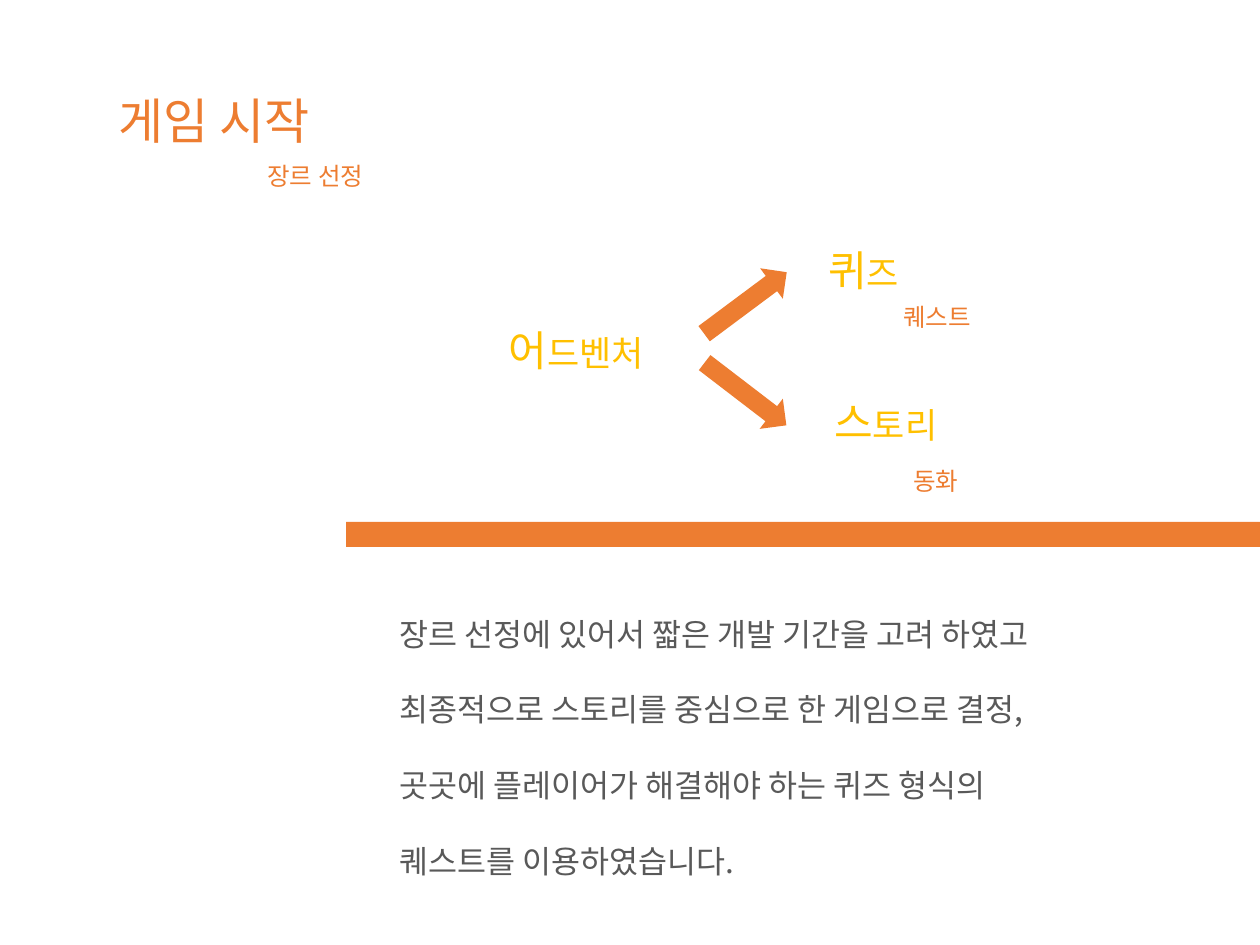
from dataclasses import dataclass

from lxml import etree
from pptx import Presentation
from pptx.dml.color import RGBColor
from pptx.enum.shapes import MSO_SHAPE
from pptx.enum.text import MSO_ANCHOR, MSO_AUTO_SIZE, PP_ALIGN
from pptx.oxml.ns import qn
from pptx.util import Emu, Pt

PX = 914400 // 126
FONT = "Noto Sans CJK KR"
ORANGE = RGBColor(0xED, 0x7D, 0x31)
GOLD = RGBColor(0xFF, 0xC0, 0x00)
GRAY = RGBColor(0x59, 0x59, 0x59)
LINE_RATIO = 1.25
BODY_PITCH = 43.2  # points from one body line to the next


@dataclass(frozen=True)
class Box:
    """A frame in pixels."""
    left: int
    top: int
    width: int
    height: int

    def emu(self) -> tuple[Emu, ...]:
        """Return the frame in EMU."""
        return tuple(Emu(v * PX) for v in (self.left, self.top, self.width, self.height))


@dataclass(frozen=True)
class Label:
    """Lines of text, with an optional larger first letter."""
    box: Box
    lines: tuple[str, ...]
    size: int
    color: RGBColor
    initial_size: int = 0


@dataclass(frozen=True)
class Block:
    """A solid preset shape."""
    box: Box
    kind: MSO_SHAPE
    rotation: float = 0


TITLE = Label(Box(106, 82, 239, 72), ("게임 시작",), 28, ORANGE)
LABELS = (
    Label(Box(255, 154, 132, 43), ("장르 선정",), 14, ORANGE),
    Label(Box(496, 316, 174, 63), ("어드벤처",), 20, GOLD, 24),
    Label(Box(816, 236, 103, 63), ("퀴즈",), 20, GOLD, 24),
    Label(Box(822, 388, 139, 63), ("스토리",), 20, GOLD, 24),
    Label(Box(387, 607, 736, 280), (
        "장르 선정에 있어서 짧은 개발 기간을 고려 하였고",
        "최종적으로 스토리를 중심으로 한 게임으로 결정,",
        "곳곳에 플레이어가 해결해야 하는 퀴즈 형식의",
        "퀘스트를 이용하였습니다.",
    ), 18, GRAY),
    Label(Box(891, 295, 100, 43), ("퀘스트",), 14, ORANGE),
    Label(Box(901, 459, 74, 43), ("동화",), 14, ORANGE),
)
BLOCKS = (
    Block(Box(346, 522, 914, 25), MSO_SHAPE.RECTANGLE),
    Block(Box(694, 284, 103, 38), MSO_SHAPE.RIGHT_ARROW, 323.3),
    Block(Box(694, 375, 103, 38), MSO_SHAPE.RIGHT_ARROW, 37.5),
)


def add_run(paragraph, text: str, size: int, color: RGBColor) -> None:
    """Add one run, with the font set for Latin and Korean."""
    run = paragraph.add_run()
    run.text = text
    run.font.size = Pt(size)
    run.font.name = FONT
    run.font.color.rgb = color
    east_asian = etree.SubElement(run.font._element, qn("a:ea"))
    east_asian.set("typeface", FONT)


def fill_label(shape, label: Label) -> None:
    """Place a text shape and write its lines."""
    shape.left, shape.top, shape.width, shape.height = label.box.emu()
    frame = shape.text_frame
    frame.word_wrap = False
    frame.auto_size = MSO_AUTO_SIZE.NONE
    frame.vertical_anchor = MSO_ANCHOR.TOP
    line_height = max(label.size, label.initial_size) * LINE_RATIO
    for i, line in enumerate(label.lines):
        paragraph = frame.add_paragraph() if i else frame.paragraphs[0]
        paragraph.alignment = PP_ALIGN.LEFT
        paragraph.line_spacing = Pt(line_height)
        paragraph.space_before = Pt(BODY_PITCH - line_height if i else 0)
        if label.initial_size:
            add_run(paragraph, line[0], label.initial_size, label.color)
            line = line[1:]
        add_run(paragraph, line, label.size, label.color)


def add_block(slide, block: Block) -> None:
    """Draw one solid orange shape."""
    shape = slide.shapes.add_shape(block.kind, *block.box.emu())
    shape.rotation = block.rotation
    shape.shadow.inherit = False
    shape.fill.solid()
    shape.fill.fore_color.rgb = ORANGE
    shape.line.fill.background()


def main() -> None:
    """Build and save the slide."""
    deck = Presentation()
    deck.slide_width, deck.slide_height = Emu(1260 * PX), Emu(945 * PX)
    slide = deck.slides.add_slide(deck.slide_layouts[5])
    fill_label(slide.shapes.title, TITLE)
    for block in BLOCKS:
        add_block(slide, block)
    for label in LABELS:
        fill_label(slide.shapes.add_textbox(*label.box.emu()), label)
    deck.save("out.pptx")


main()
